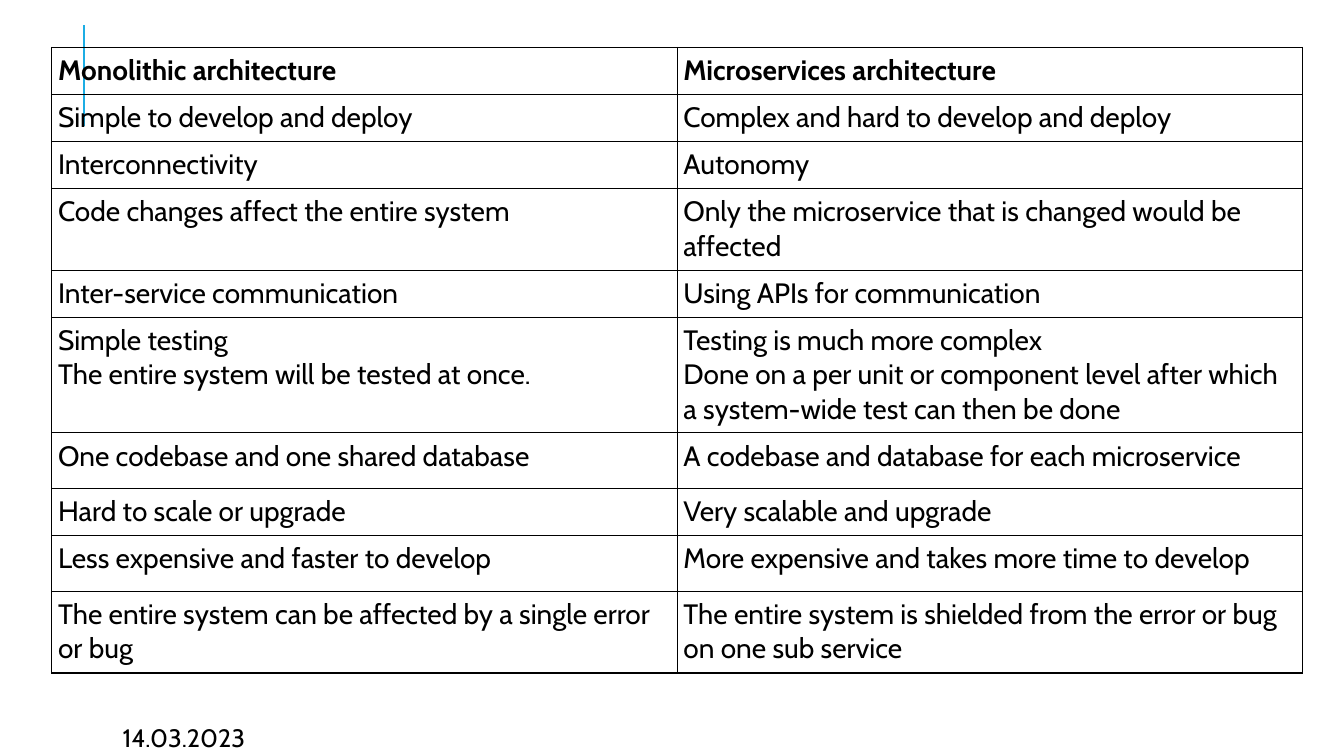
from lxml.etree import SubElement
from pptx import Presentation
from pptx.dml.color import RGBColor
from pptx.enum.shapes import MSO_CONNECTOR
from pptx.oxml.ns import qn
from pptx.util import Pt

# Content: row height, monolithic paragraphs, microservices paragraphs
SINGLE, ROOMY, DOUBLE, TRIPLE = 33.6, 39.8, 58.4, 82.4
ROWS = [
    (SINGLE, ["Monolithic architecture"], ["Microservices architecture"]),
    (SINGLE, ["Simple to develop and deploy"],
     ["Complex and hard to develop and deploy"]),
    (SINGLE, ["Interconnectivity"], ["Autonomy"]),
    (DOUBLE, ["Code changes affect the entire system"],
     ["Only the microservice that is changed would be affected"]),
    (SINGLE, ["Inter-service communication"], ["Using APIs for communication"]),
    (TRIPLE, ["Simple testing", "The entire system will be tested at once."],
     ["Testing is much more complex",
      "Done on a per unit or component level after which "
      "a system-wide test can then be done"]),
    (ROOMY, ["One codebase and one shared database"],
     ["A codebase and database for each microservice"]),
    (SINGLE, ["Hard to scale or upgrade"], ["Very scalable and upgrade"]),
    (ROOMY, ["Less expensive and faster to develop"],
     ["More expensive and takes more time to develop"]),
    (DOUBLE, ["The entire system can be affected by a single error or bug"],
     ["The entire system is shielded from the error or bug on one sub service"]),
]
DATE = "14.03.2023"

FONT, BLACK, ACCENT = "Cabin", "000000", "1CADE4"
TABLE_LEFT, TABLE_TOP, COLUMN_WIDTH, CELL_MARGIN = 37, 34, 446.7, 4.5


def color(value):
    return RGBColor.from_string(value)


def write(frame, lines, size, bold=False):
    frame.text = "\n".join(lines)
    for para in frame.paragraphs:
        para.font.name = FONT
        para.font.size = Pt(size)
        para.font.bold = bold
        para.font.color.rgb = color(BLACK)


def add_borders(cell):
    properties = cell._tc.get_or_add_tcPr()
    for position, side in enumerate(("lnL", "lnR", "lnT", "lnB")):
        border = properties.makeelement(qn(f"a:{side}"), {"w": str(Pt(1))})
        fill = SubElement(border, qn("a:solidFill"))
        SubElement(fill, qn("a:srgbClr"), val=BLACK)
        properties.insert(position, border)


deck = Presentation()
deck.slide_width, deck.slide_height = Pt(960), Pt(540)
page = deck.slides.add_slide(deck.slide_layouts[6])

# Accent line behind the table
accent = page.shapes.add_connector(
    MSO_CONNECTOR.STRAIGHT, Pt(60), Pt(90), Pt(60), Pt(18))
accent.line.color.rgb = color(ACCENT)
accent.line.width = Pt(1.5)
SubElement(accent._element.spPr, qn("a:effectLst"))

# Comparison table
total_height = sum(row[0] for row in ROWS)
table = page.shapes.add_table(
    len(ROWS), 2, Pt(TABLE_LEFT), Pt(TABLE_TOP),
    Pt(2 * COLUMN_WIDTH), Pt(total_height)).table
table.first_row = table.horz_banding = False
for column in table.columns:
    column.width = Pt(COLUMN_WIDTH)
for row_index, (height, *texts) in enumerate(ROWS):
    table.rows[row_index].height = Pt(height)
    for column_index, lines in enumerate(texts):
        cell = table.cell(row_index, column_index)
        cell.fill.background()
        cell.margin_left = cell.margin_right = Pt(CELL_MARGIN)
        cell.margin_top = cell.margin_bottom = Pt(CELL_MARGIN)
        write(cell.text_frame, lines, 20, bold=row_index == 0)
        add_borders(cell)

# Date
date_box = page.shapes.add_textbox(Pt(80.6), Pt(512.6), Pt(170), Pt(21.6))
date_box.text_frame.word_wrap = True
write(date_box.text_frame, [DATE], 18)

deck.save("out.pptx")
